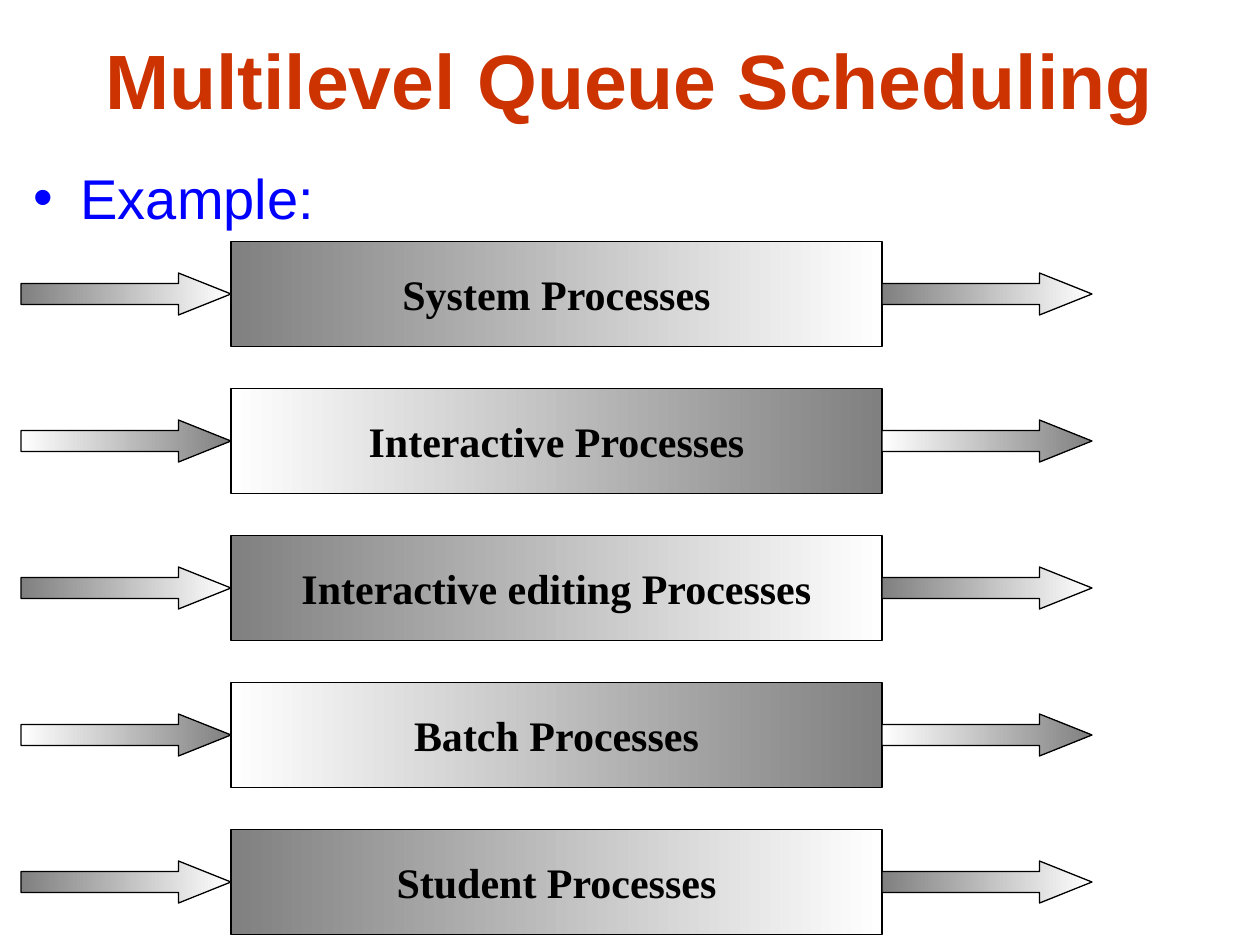
from lxml import etree
from pptx import Presentation
from pptx.dml.color import RGBColor
from pptx.enum.shapes import MSO_SHAPE
from pptx.enum.text import MSO_ANCHOR, PP_ALIGN
from pptx.oxml.ns import qn
from pptx.util import Pt

RECT = MSO_SHAPE.RECTANGLE
ARROW = MSO_SHAPE.RIGHT_ARROW
MIDDLE = MSO_ANCHOR.MIDDLE
TOP = MSO_ANCHOR.TOP
CENTER = PP_ALIGN.CENTER
LEFT = PP_ALIGN.LEFT

COLORS = {
    "title": "CC3300",
    "body": "0000FF",
    "ink": "000000",
    "dark": "808080",
    "light": "FFFFFF",
}
QUEUES = [
    "System Processes",
    "Interactive Processes",
    "Interactive editing Processes",
    "Batch Processes",
    "Student Processes",
]
BOX_LEFT, BOX_TOP, BOX_W, BOX_H = 132, 138, 372, 60
ROW_PITCH = 84
ARROW_W, ARROW_H = 120, 24


def rgb(name):
    return RGBColor.from_string(COLORS[name])


class SlideBuilder:
    def __init__(self, slide, heading_font="Arial", label_font="Times New Roman"):
        self.slide = slide
        self.heading_font = heading_font
        self.label_font = label_font

    def set_text(self, sp, text, font, size, color, bold, align, anchor):
        tf = sp.text_frame
        tf.text = text
        tf.vertical_anchor = anchor
        p = tf.paragraphs[0]
        p.alignment = align
        r = p.runs[0]
        r.font.name = font
        r.font.size = Pt(size)
        r.font.bold = bold
        r.font.color.rgb = rgb(color)
        return p

    def text_box(self, x, y, w, h, text, size, color, bold=False, align=LEFT, anchor=TOP):
        sp = self.slide.shapes.add_textbox(Pt(x), Pt(y), Pt(w), Pt(h))
        sp.text_frame.word_wrap = True
        return self.set_text(sp, text, self.heading_font, size, color, bold, align, anchor)

    def bullet(self, x, y, w, h, text, size, color, indent):
        p = self.text_box(x, y, w, h, text, size, color)
        p.space_before = Pt(8)
        pPr = p._p.get_or_add_pPr()
        pPr.set("marL", str(Pt(indent)))
        pPr.set("indent", str(-Pt(indent)))
        clr = etree.SubElement(pPr, qn("a:buClr"))
        etree.SubElement(clr, qn("a:srgbClr"), val=COLORS[color])
        etree.SubElement(pPr, qn("a:buFont"), typeface=self.heading_font)
        etree.SubElement(pPr, qn("a:buChar"), char="•")

    def gradient_shape(self, kind, x, y, w, h, gradient):
        sp = self.slide.shapes.add_shape(kind, Pt(x), Pt(y), Pt(w), Pt(h))
        sp.shadow.inherit = False
        sp.fill.gradient()
        sp.fill.gradient_angle = 0
        for stop, color, position in zip(sp.fill.gradient_stops, gradient, (0, 1)):
            stop.color.rgb = rgb(color)
            stop.position = position
        sp.line.color.rgb = rgb("ink")
        sp.line.width = Pt(0.75)
        return sp

    def box(self, x, y, w, h, text, gradient):
        sp = self.gradient_shape(RECT, x, y, w, h, gradient)
        sp.text_frame.word_wrap = False
        self.set_text(sp, text, self.label_font, 24, "ink", True, CENTER, MIDDLE)

    def arrow(self, x, y, w, h, gradient):
        sp = self.gradient_shape(ARROW, x, y, w, h, gradient)
        sp.adjustments[0] = 0.5
        sp.adjustments[1] = 1.25


def main():
    prs = Presentation()
    prs.slide_width, prs.slide_height = Pt(720), Pt(540)
    s = SlideBuilder(prs.slides.add_slide(prs.slide_layouts[6]))

    s.text_box(36, 0, 648, 90, "Multilevel Queue Scheduling", 44, "title", True, CENTER, MIDDLE)
    s.bullet(12, 90, 708, 54, "Example:", 32, "body", 27)

    for i, name in enumerate(QUEUES):
        gradient = ("dark", "light") if i % 2 == 0 else ("light", "dark")
        y = BOX_TOP + i * ROW_PITCH
        s.box(BOX_LEFT, y, BOX_W, BOX_H, name, gradient)
        for x in (BOX_LEFT - ARROW_W, BOX_LEFT + BOX_W):
            s.arrow(x, y + (BOX_H - ARROW_H) / 2, ARROW_W, ARROW_H, gradient)

    prs.save("out.pptx")


if __name__ == "__main__":
    main()
